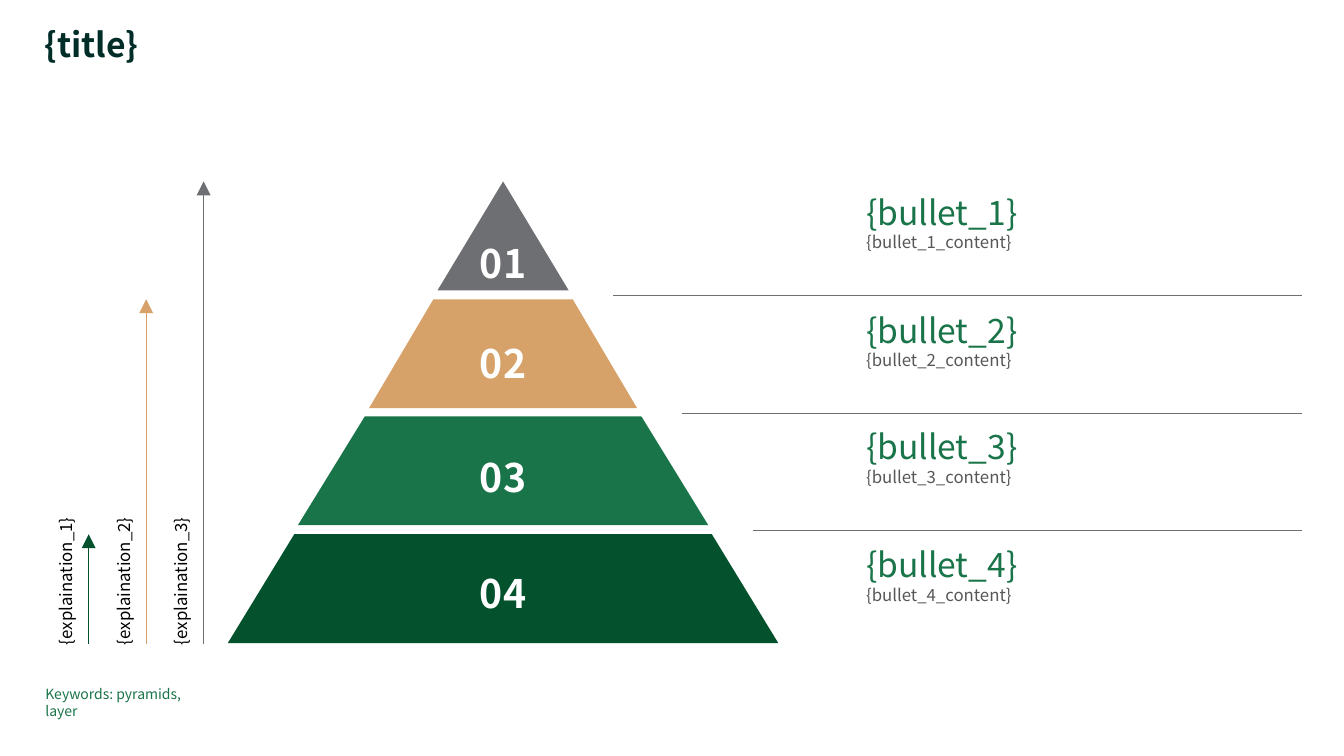
import pptx
import pptx.dml.color
import pptx.enum.shapes
import pptx.enum.text
import pptx.oxml.ns
import pptx.util
from lxml import etree

EMU_PER_PX = 9144  # 100 px to the inch
FONT = "Noto Sans CJK JP"
DARK_GREEN, GREEN, SAND, GREY = "03522D", "1A7449", "D6A26A", "6E6F73"
SHAPE = pptx.enum.shapes.MSO_SHAPE
ALIGN = pptx.enum.text.PP_ALIGN
ANCHOR = pptx.enum.text.MSO_ANCHOR

PYRAMID_TOP, PYRAMID_CENTER, PYRAMID_BASE = 180, 499, 639
TIER_HEIGHT = 108
# width, slant of the sides, colour
TIERS = [(130, None, GREY), (266, 0.591, SAND), (407, 0.615, GREEN), (546, 0.61, DARK_GREEN)]
BULLET_LEFT, RIGHT_EDGE = 859, 1291
# arrow x, label length, tier reached, colour
EXPLANATIONS = [(88, 146, 3, DARK_GREEN), (145, 289, 1, SAND), (202, 498, 0, GREY)]


def px(length):
    return pptx.util.Emu(round(length * EMU_PER_PX))


def rgb(code):
    return pptx.dml.color.RGBColor.from_string(code)


def tier_top(index):
    return round(PYRAMID_TOP + index * 350 / 3)


def set_text(frame, lines, inset=0):
    """Fill a frame with lines of (text, size, colour, bold)."""
    frame.word_wrap = True
    frame.margin_left = frame.margin_right = px(inset)
    frame.margin_top = frame.margin_bottom = px(inset)
    for index, (text, size, color, bold) in enumerate(lines):
        paragraph = frame.add_paragraph() if index else frame.paragraphs[0]
        paragraph.text = text
        paragraph.font.name = FONT
        paragraph.font.size = pptx.util.Pt(size)
        paragraph.font.bold = bold
        paragraph.font.color.rgb = rgb(color)


def add_text(slide, left, top, width, height, *lines):
    box = slide.shapes.add_textbox(px(left), px(top), px(width), px(height))
    set_text(box.text_frame, lines)
    return box


def add_line(slide, start, end, color, arrow=False):
    line = slide.shapes.add_connector(
        pptx.enum.shapes.MSO_CONNECTOR.STRAIGHT, *map(px, start + end))
    line.line.color.rgb = rgb(color)
    line.line.width = pptx.util.Pt(0.5)
    qn = pptx.oxml.ns.qn
    if arrow:
        etree.SubElement(line.line._get_or_add_ln(), qn("a:tailEnd"),
                         type="triangle", w="lg", len="lg")
    etree.SubElement(line._element.spPr, qn("a:effectLst"))


def add_tier(slide, index, width, slant, color):
    preset = SHAPE.TRAPEZOID if slant else SHAPE.ISOSCELES_TRIANGLE
    tier = slide.shapes.add_shape(preset, px(PYRAMID_CENTER - width / 2),
                                  px(tier_top(index)), px(width), px(TIER_HEIGHT))
    if slant:
        tier.adjustments[0] = slant
    tier.shadow.inherit = False
    tier.fill.solid()
    tier.fill.fore_color.rgb = rgb(color)
    tier.line.fill.background()
    set_text(tier.text_frame, [(f"{index + 1:02}", 28, "FFFFFF", True)],
             inset=0 if slant else 8)
    tier.text_frame.vertical_anchor = ANCHOR.MIDDLE
    tier.text_frame.paragraphs[0].alignment = ALIGN.CENTER


def add_bullet(slide, index):
    name = f"bullet_{index + 1}"
    add_text(slide, BULLET_LEFT, tier_top(index) + 10, RIGHT_EDGE - BULLET_LEFT, 61,
             (f"{{{name}}}", 24, GREEN, False),
             (f"{{{name}_content}}", 12, "575757", False))


def add_explanation(slide, number, x, length, reached_tier, color):
    """Upward arrow with a label that reads from the pyramid's base upwards."""
    add_line(slide, (x, PYRAMID_BASE), (x, tier_top(reached_tier)), color, arrow=True)
    thickness = 25
    label = add_text(slide, x - 20 - length / 2,
                     PYRAMID_BASE + 1 - length / 2 - thickness / 2, length, thickness,
                     (f"{{explaination_{number}}}", 12, "000000", False))
    label.rotation = 270


def main():
    deck = pptx.Presentation()
    deck.slide_width, deck.slide_height = pptx.util.Inches(13.33), pptx.util.Inches(7.5)
    slide = deck.slides.add_slide(deck.slide_layouts[6])

    title = add_text(slide, 44, 28, 1103, 37, ("{title}", 24, "002D28", True))
    title.text_frame.paragraphs[0].line_spacing = 0.9

    for index, (width, slant, color) in enumerate(TIERS):
        add_tier(slide, index, width, slant, color)
        add_bullet(slide, index)
        if index < len(TIERS) - 1:
            y = tier_top(index) + 113
            add_line(slide, (PYRAMID_CENTER + width / 2 + 44, y), (RIGHT_EDGE, y), GREY)

    for number, explanation in enumerate(EXPLANATIONS, 1):
        add_explanation(slide, number, *explanation)

    add_text(slide, 45, 680, 164, 17, ("Keywords: pyramids, layer", 10, GREEN, False))
    deck.save("out.pptx")


if __name__ == "__main__":
    main()
